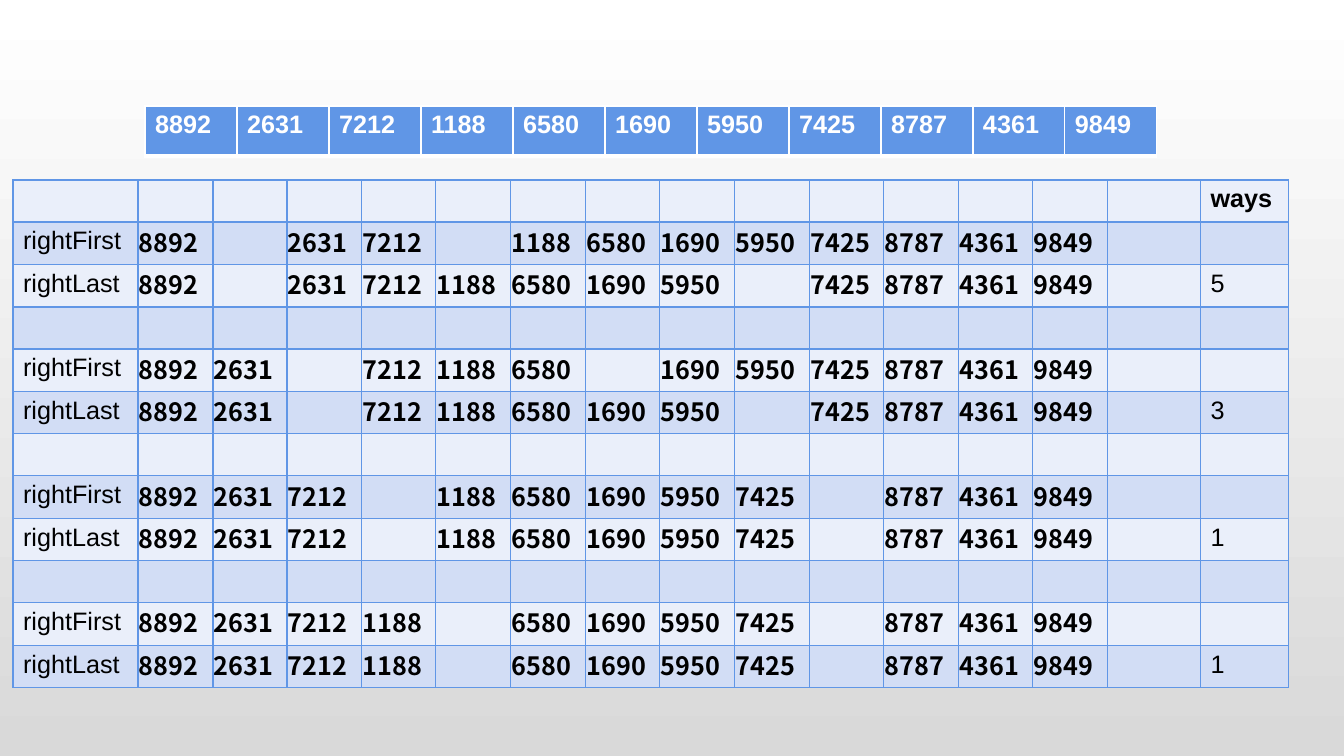
from lxml import etree
from pptx import Presentation, util as u
from pptx.dml.color import RGBColor
from pptx.oxml import ns

PX = 914400 / 100.8
NUMBERS = "8892 2631 7212 1188 6580 1690 5950 7425 8787 4361 9849".split()
BLUE, WHITE, BLACK = "6096E6", "FFFFFF", "000000"
BANDS = ("EAEFFA", "D2DDF5")

# Text formats
PLAIN = dict(name="Arial", size=u.Pt(18), bold=False)
BOLD = dict(PLAIN, bold=True)
NUMBER = dict(BOLD, name="Noto Sans CJK SC")
TIGHT = dict(margin_left=1, margin_top=1, margin_right=1, margin_bottom=5)

# Gap columns in each pair of rightFirst and rightLast rows, then the ways
GROUPS = [
    ((2, 5), (2, 9), 5),
    ((3, 7), (3, 9), 3),
    ((4, 10), (4, 10), 1),
    ((5, 10), (5, 10), 1),
]


def px(n):
    return u.Emu(round(n * PX))


def rgb(code):
    return RGBColor.from_string(code)


def add_borders(cell, color, widths):
    tcPr = cell._tc.get_or_add_tcPr()
    for i, (side, width) in enumerate(zip("LRTB", widths)):
        ln = etree.Element(ns.qn(f"a:ln{side}"), w=str(u.Pt(width)))
        solid = etree.SubElement(ln, ns.qn("a:solidFill"))
        etree.SubElement(solid, ns.qn("a:srgbClr"), val=color)
        tcPr.insert(i, ln)


def add_table(s, left, top, cols, row_height, rows):
    frame = s.shapes.add_table(rows, len(cols), px(left), px(top),
                               px(sum(cols)), px(row_height * rows))
    table = frame.table
    table.first_row = table.horz_banding = False
    for col, width in zip(table.columns, cols):
        col.width = px(width)
    for row in table.rows:
        row.height = px(row_height)
    return table


def style_cell(cell, fill, border, widths):
    cell.fill.solid()
    cell.fill.fore_color.rgb = rgb(fill)
    add_borders(cell, border, widths)


def write(cell, value, color, fmt, margins=None):
    for name, margin in (margins or {}).items():
        setattr(cell, name, px(margin))
    r = cell.text_frame.paragraphs[0].add_run()
    r.text = str(value)
    r.font.color.rgb = rgb(color)
    for name, setting in fmt.items():
        setattr(r.font, name, setting)


def add_sequence(s):
    table = add_table(s, 145, 106, [92] * len(NUMBERS), 50, 1)
    for cell, number in zip(table.iter_cells(), NUMBERS):
        style_cell(cell, BLUE, WHITE, (1, 1, 1, 3))
        write(cell, number, WHITE, BOLD)


def write_split(table, row, label, gaps):
    write(table.cell(row, 0), label, BLACK, PLAIN)
    slots = [c for c in range(1, len(NUMBERS) + 3) if c not in gaps]
    for col, number in zip(slots, NUMBERS):
        write(table.cell(row, col), number, BLACK, NUMBER, TIGHT)


def add_splits(s):
    slots = len(NUMBERS) + 2
    edges = [round(970 * i / slots) for i in range(slots + 1)]
    cols = [125, *(b - a for a, b in zip(edges, edges[1:])), 93, 88]
    table = add_table(s, 13, 180, cols, 42, 3 * len(GROUPS))
    for i, row in enumerate(table.rows):
        for cell in row.cells:
            style_cell(cell, BANDS[i % 2], BLUE, (1, 1, 1, 1))
    ways = len(cols) - 1
    write(table.cell(0, ways), "ways", BLACK, BOLD)
    for i, (first, last, count) in enumerate(GROUPS):
        row = 3 * i + 1
        write_split(table, row, "rightFirst", first)
        write_split(table, row + 1, "rightLast", last)
        write(table.cell(row + 1, ways), count, BLACK, PLAIN)


def set_background(s):
    fill = s.background.fill
    fill.gradient()
    fill.gradient_angle = 270
    for stop, color in zip(fill.gradient_stops, (WHITE, "D9D9D9")):
        stop.color.rgb = rgb(color)


def main():
    prs = Presentation()
    prs.slide_width, prs.slide_height = px(1344), px(756)
    s = prs.slides.add_slide(prs.slide_layouts[6])
    set_background(s)
    add_sequence(s)
    add_splits(s)
    prs.save("out.pptx")


if __name__ == "__main__":
    main()
